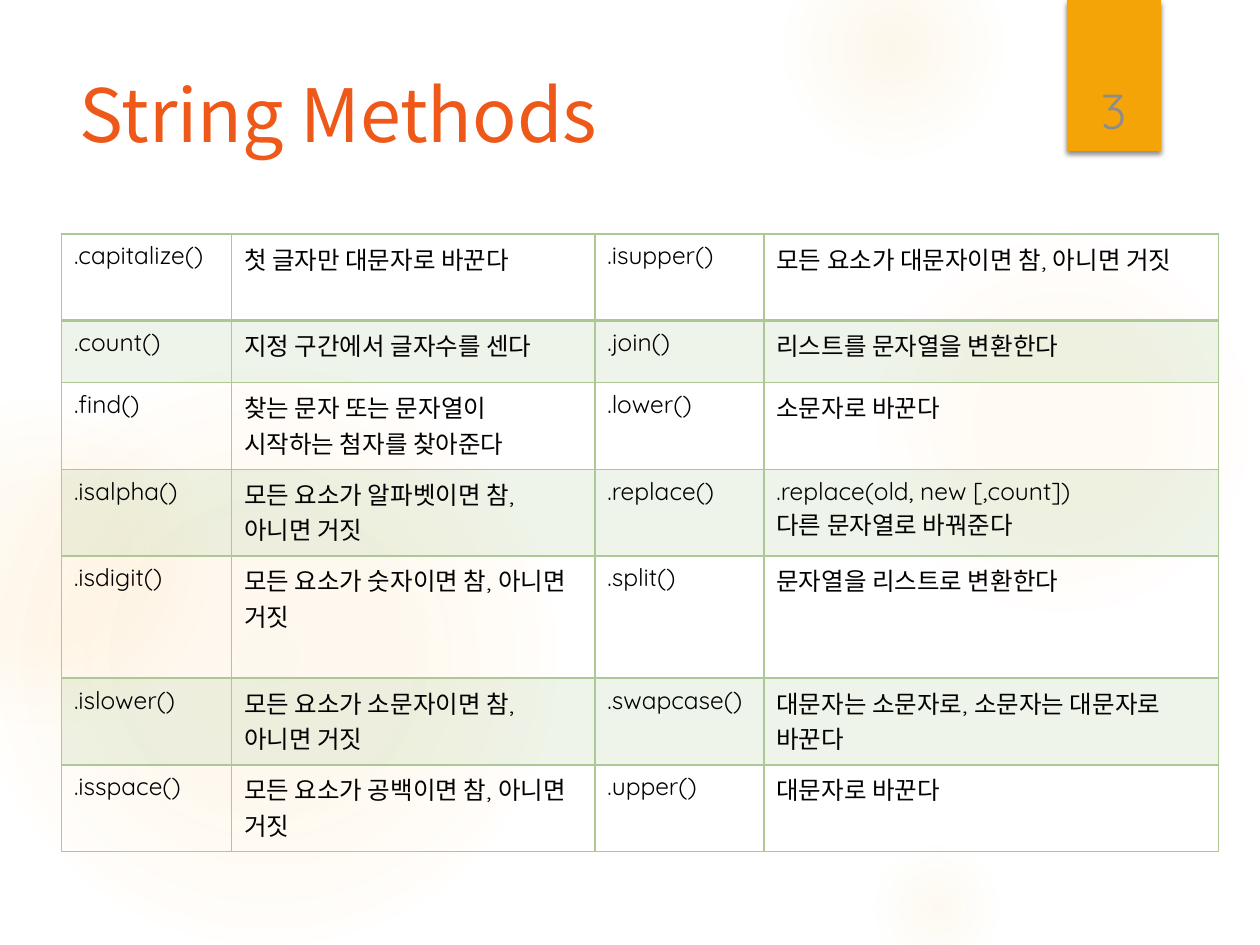
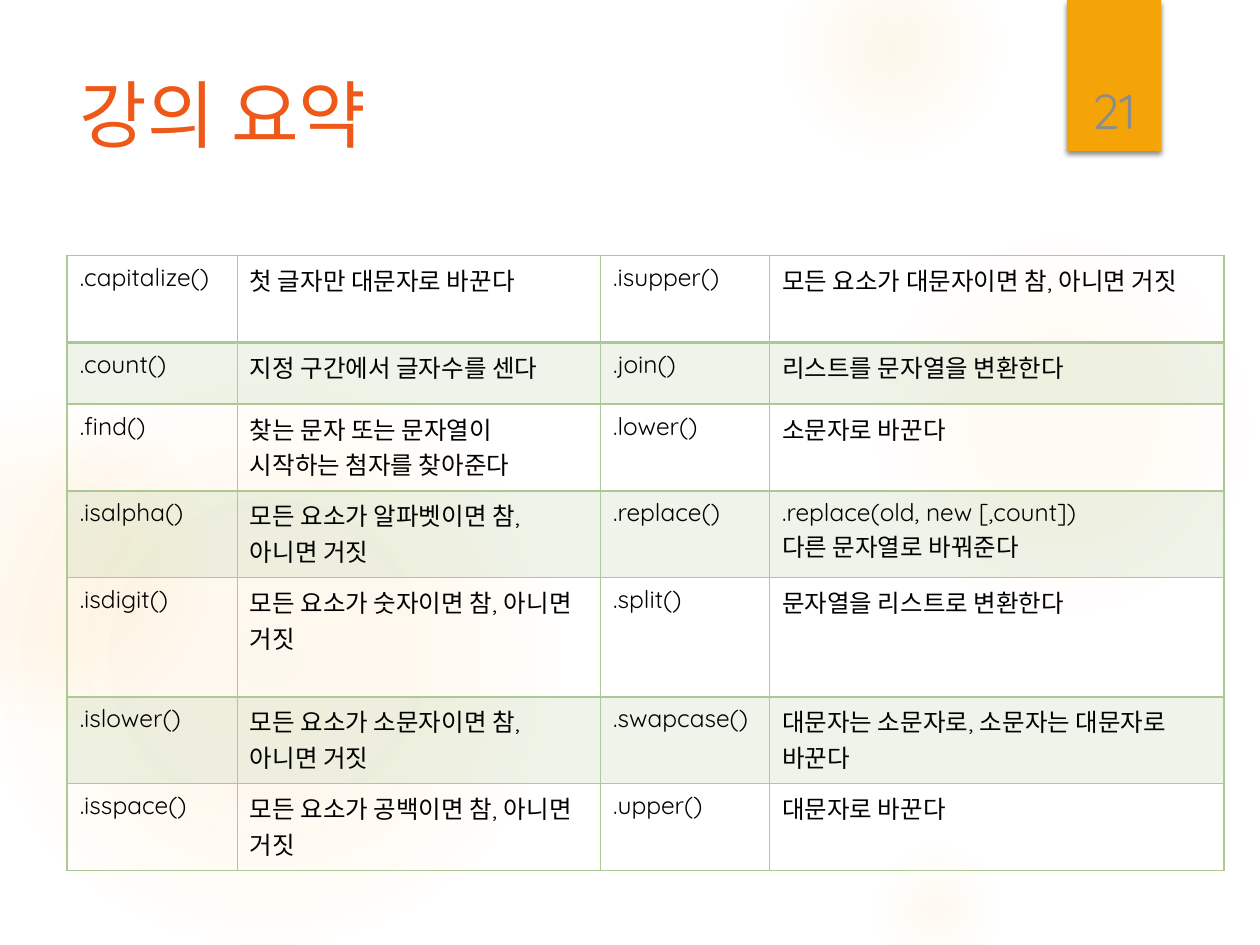
from typing import NamedTuple

from lxml import etree
from pptx import Presentation
from pptx.dml.color import RGBColor
from pptx.enum.shapes import MSO_SHAPE
from pptx.enum.text import MSO_ANCHOR, PP_ALIGN
from pptx.oxml import parse_xml
from pptx.oxml.ns import nsdecls, qn
from pptx.util import Inches, Pt

OVAL, RECT = MSO_SHAPE.OVAL, MSO_SHAPE.RECTANGLE
TOP, BOTTOM = MSO_ANCHOR.TOP, MSO_ANCHOR.BOTTOM
LEFT, CENTER = PP_ALIGN.LEFT, PP_ALIGN.CENTER

WIDE, HIGH = Inches(10), Inches(7.5)
UNIT = WIDE / 120  # the slide is a grid of 120 columns by 90 rows

HUES = {
    "paper": "FFFFFF",
    "glow": "FAC96A",
    "tab": "F5A408",
    "title": "EE5818",
    "page": "8C8C8C",
    "text": "000000",
    "grid": "ACC995",
    "shade": "000000",
}
SANS, ROUND = "Noto Sans CJK KR", "Quicksand"


class Box(NamedTuple):
    left: float
    top: float
    wide: float
    high: float


class Glow(NamedTuple):
    box: Box
    stops: tuple[tuple[int, int], ...]  # (place %, alpha %)


class Page(NamedTuple):
    title: str
    num: str
    left: float
    top: float
    tall: float  # height of the fifth row


GLOWS = [
    Glow(Box(82.7, 22, 37, 37), ((0, 7), (36, 6), (69, 0))),
    Glow(Box(74.6, -6, 21, 21), ((0, 14), (36, 7), (73, 0))),
    Glow(Box(82.7, 80, 13, 13), ((0, 10), (31, 5), (66, 0))),
    Glow(Box(-2, 35, 55, 55), ((0, 11), (36, 10), (75, 0))),
    Glow(Box(-11, 38, 31, 31), ((0, 8), (36, 8), (72, 0))),
]
TAB = Box(101.6, 0, 9, 14.4)
TITLE = Box(6.4, 6, 92.6, 18.4)
NUM = Box(101.9, 3.8, 8.3, 10.1)

COLS = [16.2, 34.6, 16.1, 43.3]
ROW, SHORT = 8.25, 5.9
PAGES = [
    Page("String Methods", "3", 5.85, 22.3, 11.65),
    Page("강의 요약", "21", 6.4, 24.35, 11.4),
]


def check(kind: str) -> str:
    return f"모든 요소가 {kind}이면 참, 아니면 거짓"


CELLS = [
    (".capitalize()", "첫 글자만 대문자로 바꾼다", ".isupper()", check("대문자")),
    (".count()", "지정 구간에서 글자수를 센다", ".join()", "리스트를 문자열을 변환한다"),
    (".find()", "찾는 문자 또는 문자열이 시작하는 첨자를 찾아준다", ".lower()", "소문자로 바꾼다"),
    (".isalpha()", check("알파벳"), ".replace()",
     ".replace(old, new [,count])\n다른 문자열로 바꿔준다"),
    (".isdigit()", check("숫자"), ".split()", "문자열을 리스트로 변환한다"),
    (".islower()", check("소문자"), ".swapcase()", "대문자는 소문자로, 소문자는 대문자로 바꾼다"),
    (".isspace()", check("공백"), ".upper()", "대문자로 바꾼다"),
]


def span(size: float) -> int:
    return round(size * UNIT)


def place(box: Box) -> list[int]:
    return [span(size) for size in box]


def tint(name: str) -> RGBColor:
    return RGBColor.from_string(HUES[name])


def ink(name: str, alpha: int) -> str:
    return f'<a:srgbClr val="{HUES[name]}"><a:alpha val="{alpha * 1000}"/></a:srgbClr>'


def write(frame, text: str, *, size: float, face: str, hue: str,
          align=LEFT, anchor=TOP) -> None:
    frame.word_wrap = True
    frame.vertical_anchor = anchor
    para = frame.paragraphs[0]
    para.text = text
    para.alignment = align
    for run in para.runs:
        run.font.size = Pt(size)
        run.font.name = face
        run.font.color.rgb = tint(hue)
        east = etree.SubElement(run.font._element, qn("a:ea"))
        east.set("typeface", SANS)


def label(slide, box: Box, text: str, **form) -> None:
    write(slide.shapes.add_textbox(*place(box)).text_frame, text, **form)


def solid(slide, kind, box: Box, hue: str):
    shape = slide.shapes.add_shape(kind, *place(box))
    shape.shadow.inherit = False
    shape.line.fill.background()
    shape.fill.solid()
    shape.fill.fore_color.rgb = tint(hue)
    return shape


def draw_glow(slide, glow: Glow) -> None:
    props = solid(slide, OVAL, glow.box, "glow")._element.spPr
    stops = "".join(f'<a:gs pos="{pos * 1000}">{ink("glow", alpha)}</a:gs>'
                    for pos, alpha in glow.stops)
    fade = parse_xml(
        f'<a:gradFill {nsdecls("a")} rotWithShape="1"><a:gsLst>{stops}</a:gsLst>'
        '<a:path path="circle"><a:fillToRect l="50000" t="50000" r="50000" b="50000"/>'
        '</a:path></a:gradFill>')
    props.replace(props.find(qn("a:solidFill")), fade)


def draw_tab(slide, num: str) -> None:
    props = solid(slide, RECT, TAB, "tab")._element.spPr
    props.find(qn("a:effectLst")).append(parse_xml(
        f'<a:outerShdw {nsdecls("a")} blurRad="{Pt(3)}" dist="{Pt(2)}" dir="5400000" '
        f'algn="t" rotWithShape="0">{ink("shade", 45)}</a:outerShdw>'))
    label(slide, NUM, num, size=28, face=ROUND, hue="page", align=CENTER, anchor=BOTTOM)


def style(cell, row: int) -> None:
    """Rule a cell, with a double-weight line under the first row, and band odd rows."""
    cell.fill.background()
    props = cell._tc.get_or_add_tcPr()
    if row % 2:
        cell.fill.solid()
        cell.fill.fore_color.rgb = tint("grid")
        color = props.find(qn("a:solidFill"))[0]
        etree.SubElement(color, qn("a:alpha")).set("val", "20000")
    for spot, side in enumerate("LRTB"):
        heavy = (row, side) in ((0, "B"), (1, "T"))
        props.insert(spot, parse_xml(
            f'<a:ln{side} {nsdecls("a")} w="{Pt(2 if heavy else 1)}"><a:solidFill>'
            f'{ink("grid", 100)}</a:solidFill></a:ln{side}>'))


def draw_table(slide, page: Page) -> None:
    rows = [ROW, SHORT, ROW, ROW, page.tall, ROW, ROW]
    box = Box(page.left, page.top, sum(COLS), sum(rows))
    table = slide.shapes.add_table(len(rows), len(COLS), *place(box)).table
    table.first_row = table.horz_banding = False
    for col, wide in zip(table.columns, COLS):
        col.width = span(wide)
    for row, high in zip(table.rows, rows):
        row.height = span(high)
    for row, texts in enumerate(CELLS):
        for col, text in enumerate(texts):
            cell = table.cell(row, col)
            style(cell, row)
            write(cell.text_frame, text, size=14, face=ROUND, hue="text")


def main() -> None:
    deck = Presentation()
    deck.slide_width, deck.slide_height = WIDE, HIGH
    for page in PAGES:
        slide = deck.slides.add_slide(deck.slide_layouts[6])
        slide.background.fill.solid()
        slide.background.fill.fore_color.rgb = tint("paper")
        for glow in GLOWS:
            draw_glow(slide, glow)
        draw_tab(slide, page.num)
        label(slide, TITLE, page.title, size=42, face=SANS, hue="title")
        draw_table(slide, page)
    deck.save("out.pptx")


if __name__ == "__main__":
    main()
